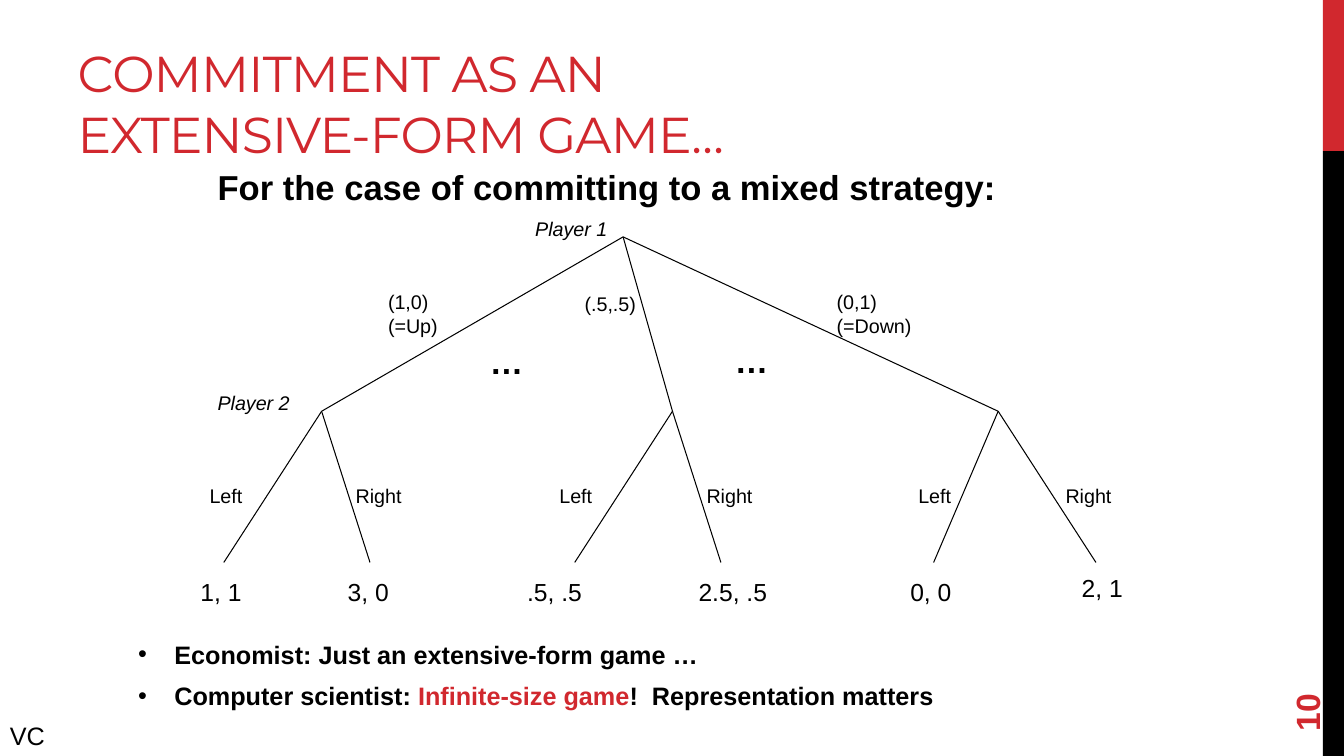
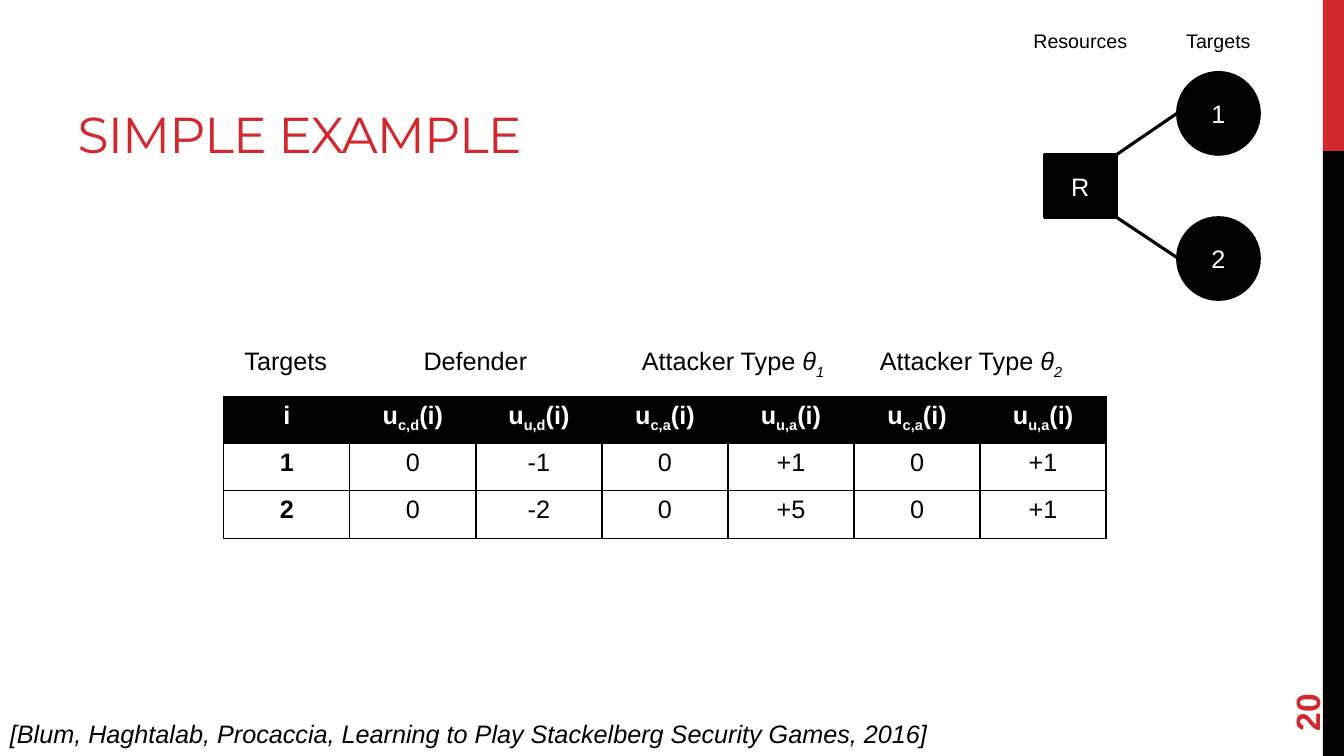
from lxml.etree import SubElement
from pptx import Presentation
from pptx.dml.color import RGBColor
from pptx.enum.shapes import MSO_CONNECTOR, MSO_SHAPE
from pptx.enum.text import MSO_ANCHOR, MSO_AUTO_SIZE, PP_ALIGN
from pptx.oxml.ns import qn
from pptx.util import Pt

PX = 9144  # 100 px to the inch
RED = RGBColor(0xD1, 0x28, 0x2E)
BLACK = RGBColor(0, 0, 0)
WHITE = RGBColor(255, 255, 255)
LEFT, CENTER = PP_ALIGN.LEFT, PP_ALIGN.CENTER


def write(para, pieces, size, color=BLACK, bold=False, italic=False,
          align=LEFT, font="Arial", subscript=None):
    """Write one run per piece; subscript is the index of a lowered run."""
    para.alignment = align
    for piece in pieces:
        span = para.add_run()
        span.text = piece
        span.font.name, span.font.size = font, Pt(size)
        span.font.bold, span.font.italic = bold, italic
        span.font.color.rgb = color
    if subscript is not None:
        para.runs[subscript]._r.get_or_add_rPr().set("baseline", "-25000")
    return para.runs


def add_line(page, start, end, width):
    ends = [PX * v for v in (*start, *end)]
    line = page.shapes.add_connector(MSO_CONNECTOR.STRAIGHT, *ends)
    line.line.color.rgb = BLACK
    line.line.width = Pt(width)
    SubElement(line._element.spPr, qn("a:effectLst"))


deck = Presentation()
deck.slide_width, deck.slide_height = 1333 * PX, 750 * PX

# Title, page number and side bands of both slides
TITLE_AND_BODY, TITLE_ONLY = 1, 5
pages = []
for layout, title_text, number in (
    (TITLE_AND_BODY, "COMMITMENT AS AN EXTENSIVE-FORM GAME…", "10"),
    (TITLE_ONLY, "SIMPLE EXAMPLE", "20"),
):
    page = deck.slides.add_slide(deck.slide_layouts[layout])
    pages.append(page)
    for top, height, color in ((0, 150, RED), (150, 600, BLACK)):
        band = page.shapes.add_shape(
            MSO_SHAPE.RECTANGLE, 1312 * PX, top * PX, 21 * PX, height * PX)
        band.shadow.inherit = False
        band.fill.solid()
        band.fill.fore_color.rgb = color
        band.line.fill.background()

    title = page.shapes.title
    title.left, title.top, title.width, title.height = (
        67 * PX, 17 * PX, 844 * PX, 150 * PX)
    frame = title.text_frame
    frame.auto_size = MSO_AUTO_SIZE.NONE
    frame.vertical_anchor = MSO_ANCHOR.BOTTOM
    spans = write(frame.paragraphs[0], [title_text], 36, RED, font="Montserrat")
    spans[0]._r.get_or_add_rPr().set("spc", "-60")

    box = page.shapes.add_textbox(1224 * PX, 637 * PX, 144 * PX, 53 * PX)
    box.rotation = 270
    box.text_frame.word_wrap = True
    box.text_frame.vertical_anchor = MSO_ANCHOR.MIDDLE
    write(box.text_frame.paragraphs[0], [number], 24, RED, bold=True)

game_page, example_page = pages

# Slide 1: game tree
root = (618, 235)
node_y, leaf_y = 408, 558
# Node x, then for each move: leaf x, move label x, payoff place, payoff
subgames = [
    (319, (222, 198, (189, 567), "1, 1"), (367, 343, (335, 567), "3, 0")),
    (667, (570, 545, (513, 567), ".5, .5"), (715, 691, (683, 567), "2.5, .5")),
    (990, (926, 901, (893, 567), "0, 0"), (1087, 1047, (1063, 563), "2, 1")),
]
plain, slanted = {"size": 14.1}, {"size": 14.1, "italic": True}
dots = {"size": 23.8, "bold": True, "align": CENTER}
tree_labels = [
    ((206, 210 - 60, 890, 92), "For the case of committing to a mixed strategy:",
     {"size": 24.7, "bold": True}),
    ((521, 210, 97, 34), "Player 1", slanted),
    ((206, 383, 97, 34), "Player 2", slanted),
    ((375, 283, 81, 57), "(1,0) (=Up)", plain),
    ((570, 285, 97, 34), "(.5,.5)", plain),
    ((820, 283, 97, 57), "(0,1) (=Down)", plain),
    ((476, 334, 53, 50), "…", dots),
    ((719, 333, 53, 50), "…", dots),
    ((0, 710, 76, 40), "VC", {"size": 18}),
]
for node_x, *moves in subgames:
    add_line(game_page, root, (node_x, node_y), 0.75)
    for move, (leaf_x, move_x, payoff_at, payoff) in zip(("Left", "Right"), moves):
        add_line(game_page, (node_x, node_y), (leaf_x, leaf_y), 0.75)
        tree_labels += [
            ((move_x, 475, 73, 34), move, plain),
            ((*payoff_at, 97, 40), payoff, {"size": 17.6}),
        ]
for place, text, style in tree_labels:
    box = game_page.shapes.add_textbox(*(PX * v for v in place))
    box.text_frame.word_wrap = True
    para = box.text_frame.paragraphs[0]
    write(para, [text], **style)
    if style["size"] == 24.7:
        para.line_spacing = 1.24

body = game_page.placeholders[1]
body.left, body.top, body.width, body.height = (
    127 * PX, 629 * PX, 956 * PX, 92 * PX)
frame = body.text_frame
frame.auto_size = MSO_AUTO_SIZE.NONE
views = [
    ["Economist: Just an extensive-form game …"],
    ["Computer scientist: ", "Infinite-size game", "!  Representation matters"],
]
for index, pieces in enumerate(views):
    para = frame.add_paragraph() if index else frame.paragraphs[0]
    para.space_before = Pt(7.9 if index else 0)
    properties = para._p.get_or_add_pPr()
    properties.set("marL", str(36 * PX))
    properties.set("indent", str(-36 * PX))
    bullet_color = SubElement(properties, qn("a:buClr"))
    SubElement(bullet_color, qn("a:srgbClr"), val=str(BLACK))
    SubElement(properties, qn("a:buFont"), typeface="Arial")
    SubElement(properties, qn("a:buChar"), char="•")
    spans = write(para, pieces, 18, bold=True)
    if index:
        spans[1].font.color.rgb = RED

# Slide 2: resource and targets
nodes = [
    (MSO_SHAPE.RECTANGLE, (1036, 153, 71, 63), "R"),
    (MSO_SHAPE.OVAL, (1168, 72, 81, 81), "1"),
    (MSO_SHAPE.OVAL, (1168, 216, 81, 81), "2"),
]
for kind, place, text in nodes:
    node = example_page.shapes.add_shape(kind, *(PX * v for v in place))
    node.shadow.inherit = False
    node.fill.solid()
    node.fill.fore_color.rgb = BLACK
    node.line.color.rgb = BLACK
    node.line.width = Pt(2.25)
    write(node.text_frame.paragraphs[0], [text], 18, WHITE, align=CENTER)
add_line(example_page, (1108, 153), (1168, 112), 2.25)
add_line(example_page, (1108, 216), (1168, 256), 2.25)

small = {"size": 14, "align": CENTER}
heading = {"size": 18, "align": CENTER}
attacker = {**heading, "subscript": 2}
example_labels = [
    ((0, 708, 940, 40),
     ["[Blum, Haghtalab, Procaccia, Learning to Play Stackelberg Security Games, 2016]"],
     {"size": 18, "italic": True}),
    ((1013, 24, 117, 34), ["Resources"], small),
    ((1150, 24, 117, 34), ["Targets"], small),
    ((222, 338, 123, 40), ["Targets"], heading),
    ((400, 338, 143, 40), ["Defender"], heading),
    ((623, 338, 208, 40), ["Attacker Type ", "θ", "1"], attacker),
    ((859, 338, 208, 40), ["Attacker Type ", "θ", "2"], attacker),
]
for place, pieces, style in example_labels:
    box = example_page.shapes.add_textbox(*(PX * v for v in place))
    box.text_frame.word_wrap = True
    for span in write(box.text_frame.paragraphs[0], pieces, **style)[1:]:
        span.font.italic = True

# Slide 2: utilities
utilities = [
    ["i", "c,d", "u,d", "c,a", "u,a", "c,a", "u,a"],
    ["1", "0", "-1", "0", "+1", "0", "+1"],
    ["2", "0", "-2", "0", "+5", "0", "+1"],
]
table = example_page.shapes.add_table(
    3, 7, 222 * PX, 393 * PX, 875 * PX, 141 * PX).table
for column in table.columns:
    column.width = 125 * PX
for row_index, values in enumerate(utilities):
    table.rows[row_index].height = 47 * PX
    is_header = row_index == 0
    for column_index, value in enumerate(values):
        cell = table.cell(row_index, column_index)
        for side in ("L", "R", "T", "B"):
            border = SubElement(
                cell._tc.get_or_add_tcPr(), qn(f"a:ln{side}"), w=str(Pt(1)))
            SubElement(SubElement(border, qn("a:solidFill")),
                       qn("a:srgbClr"), val=str(BLACK))
        cell.fill.solid()
        cell.fill.fore_color.rgb = BLACK if is_header else WHITE
        is_utility = is_header and column_index > 0
        write(cell.text_frame.paragraphs[0],
              ["u", value, "(i)"] if is_utility else [value],
              18, WHITE if is_header else BLACK,
              bold=is_header or column_index == 0, align=CENTER,
              subscript=1 if is_utility else None)

deck.save("out.pptx")
